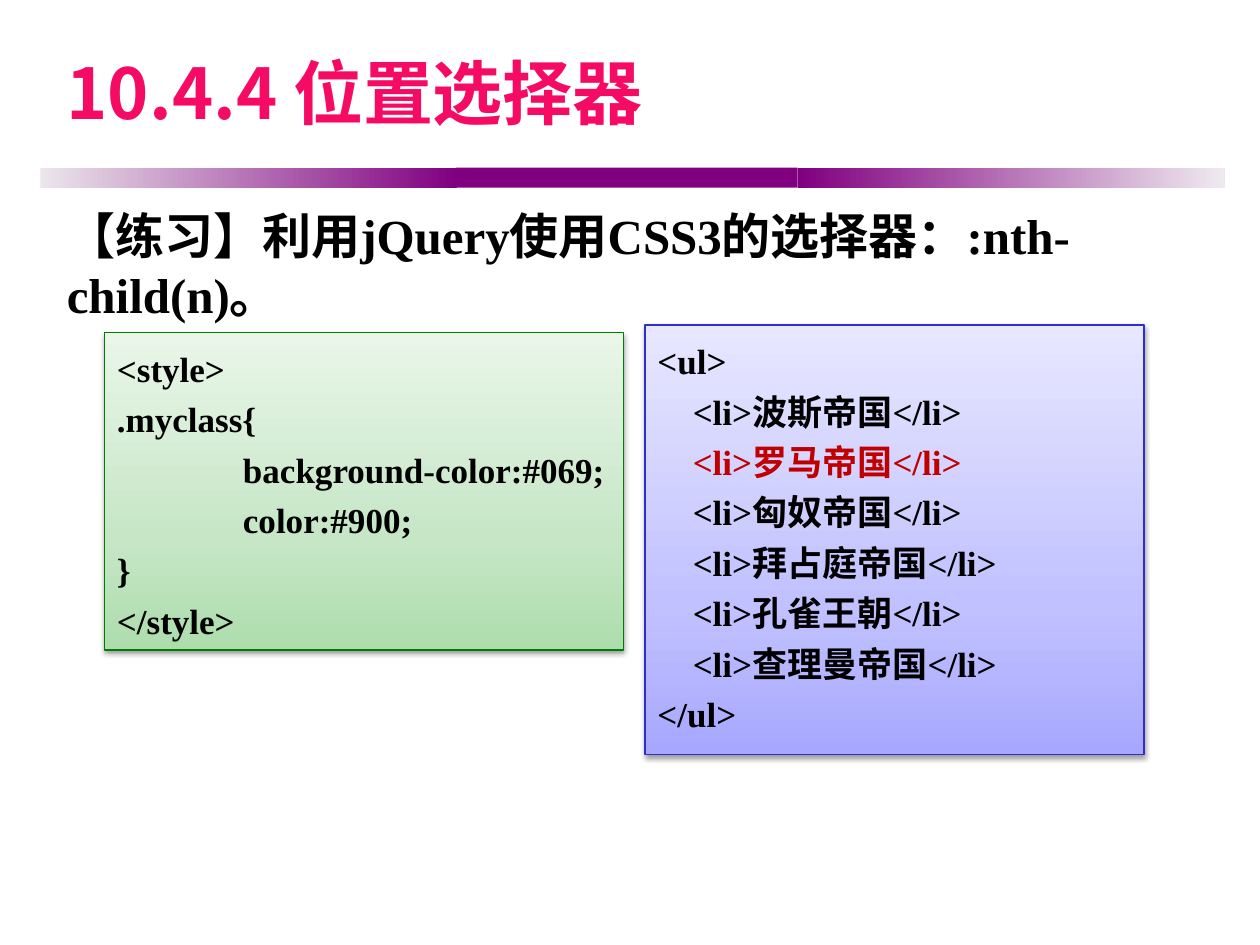
from lxml import etree
from pptx import Presentation
from pptx import util as u
from pptx.dml.color import RGBColor
from pptx.enum import shapes, text
from pptx.oxml import ns

INK = {
    "title": "F50A64", "text": "000000", "mark": "C00000",
    "bar": "800080", "fade_l": "EBE6EB", "fade_r": "EFEAEF",
    "green": "007D00", "blue": "2E2ECB",
}
LEAF = [(0, "ADDDAD"), (35, "C6E6C6"), (100, "E9F6E9")]
SKY = [(0, "A7A7FF"), (35, "C1C1FF"), (100, "E7E7FF")]
SANS, SERIF = "Noto Sans CJK SC", "Times New Roman"


def add(up, tag, **attrs):
    return etree.SubElement(up, ns.qn(tag), {k: str(v) for k, v in attrs.items()})


class Deck:
    def __init__(self):
        self.prs = Presentation()
        self.prs.slide_width, self.prs.slide_height = u.Inches(10), u.Inches(7.5)
        self.slide = self.prs.slides.add_slide(self.prs.slide_layouts[1])

    def font(self, para, size, face, ink):
        font = para.font
        font.size, font.name, font.bold = u.Pt(size), face, True
        font.color.rgb = RGBColor.from_string(INK[ink])
        add(para._p.get_or_add_pPr().get_or_add_defRPr(), "a:ea", typeface=SANS)

    def margin(self, para, left):
        props = para._p.get_or_add_pPr()
        props.set("marL", str(u.Inches(left)))
        props.set("indent", "0")

    def holder(self, item, box, words, size, face, ink, anchor):
        item.left, item.top, item.width, item.height = map(u.Inches, box)
        frame = item.text_frame
        frame.text = words
        frame.auto_size = text.MSO_AUTO_SIZE.NONE
        frame.vertical_anchor = anchor
        para = frame.paragraphs[0]
        para.alignment = text.PP_ALIGN.LEFT
        self.margin(para, 0)
        add(para._p.get_or_add_pPr(), "a:buNone")
        self.font(para, size, face, ink)
        return para

    def rect(self, box, stops, angle=0):
        item = self.slide.shapes.add_shape(
            shapes.MSO_SHAPE.RECTANGLE, *map(u.Inches, box))
        item.shadow.inherit = False
        item.line.fill.background()
        if len(stops) == 1:
            item.fill.solid()
            item.fill.fore_color.rgb = RGBColor.from_string(stops[0][1])
            return item
        item.fill.gradient()
        grad = item._element.spPr.find(ns.qn("a:gradFill"))
        for part in list(grad):
            grad.remove(part)
        row = add(grad, "a:gsLst")
        for at, tone in stops:
            add(add(row, "a:gs", pos=at * 1000), "a:srgbClr", val=tone)
        add(grad, "a:lin", ang=angle * 60000, scaled=0)
        return item

    def shade(self, item):
        glow = add(item._element.spPr.find(ns.qn("a:effectLst")), "a:outerShdw",
                   blurRad=u.Pt(3.1), dist=u.Pt(1.6), dir=90 * 60000, rotWithShape=0)
        add(add(glow, "a:srgbClr", val=INK["text"]), "a:alpha", val=38000)

    def code(self, box, stops, edge, lines):
        item = self.rect(box, stops, 270)
        item.line.color.rgb = RGBColor.from_string(INK[edge])
        item.line.width = u.Pt(0.75)
        self.shade(item)
        frame = item.text_frame
        frame.word_wrap = True
        frame.vertical_anchor = text.MSO_ANCHOR.TOP
        for i, (words, left, ink) in enumerate(lines):
            para = frame.add_paragraph() if i else frame.paragraphs[0]
            para.text = words
            para.alignment = text.PP_ALIGN.LEFT
            para.line_spacing = 1.2
            self.margin(para, left)
            self.font(para, 20, SERIF, ink)


def main():
    deck = Deck()
    title, body = deck.slide.placeholders
    deck.holder(title, (0.43, 0.17, 9.06, 1.11), "10.4.4 位置选择器",
                40, SANS, "title", text.MSO_ANCHOR.MIDDLE)
    task = deck.holder(body, (0.43, 1.58, 9.21, 1.06),
                       "【练习】利用jQuery使用CSS3的选择器：:nth-child(n)。",
                       28, SERIF, "text", text.MSO_ANCHOR.TOP)
    task.space_before = u.Pt(5.6)

    bar = INK["bar"]
    for left, wide, stops in [
        (0.32, 3.31, [(0, INK["fade_l"]), (100, bar)]),
        (3.62, 2.71, [(0, bar)]),
        (6.33, 3.39, [(0, bar), (100, INK["fade_r"])]),
    ]:
        deck.rect((left, 1.33, wide, 0.16), stops)

    style = [("<style>", 0), (".myclass{", 0), ("background-color:#069;", 1),
             ("color:#900;", 1), ("}", 0), ("</style>", 0)]
    deck.code((0.83, 2.64, 4.12, 2.52), LEAF, "green",
              [(words, left, "text") for words, left in style])

    names = ["波斯帝国", "罗马帝国", "匈奴帝国", "拜占庭帝国", "孔雀王朝", "查理曼帝国"]
    items = [(f"<li>{name}</li>", 0.28, "mark" if i == 1 else "text")
             for i, name in enumerate(names)]
    deck.code((5.12, 2.58, 3.96, 3.41), SKY, "blue",
              [("<ul>", 0, "text"), *items, ("</ul>", 0, "text")])
    deck.prs.save("out.pptx")


if __name__ == "__main__":
    main()
